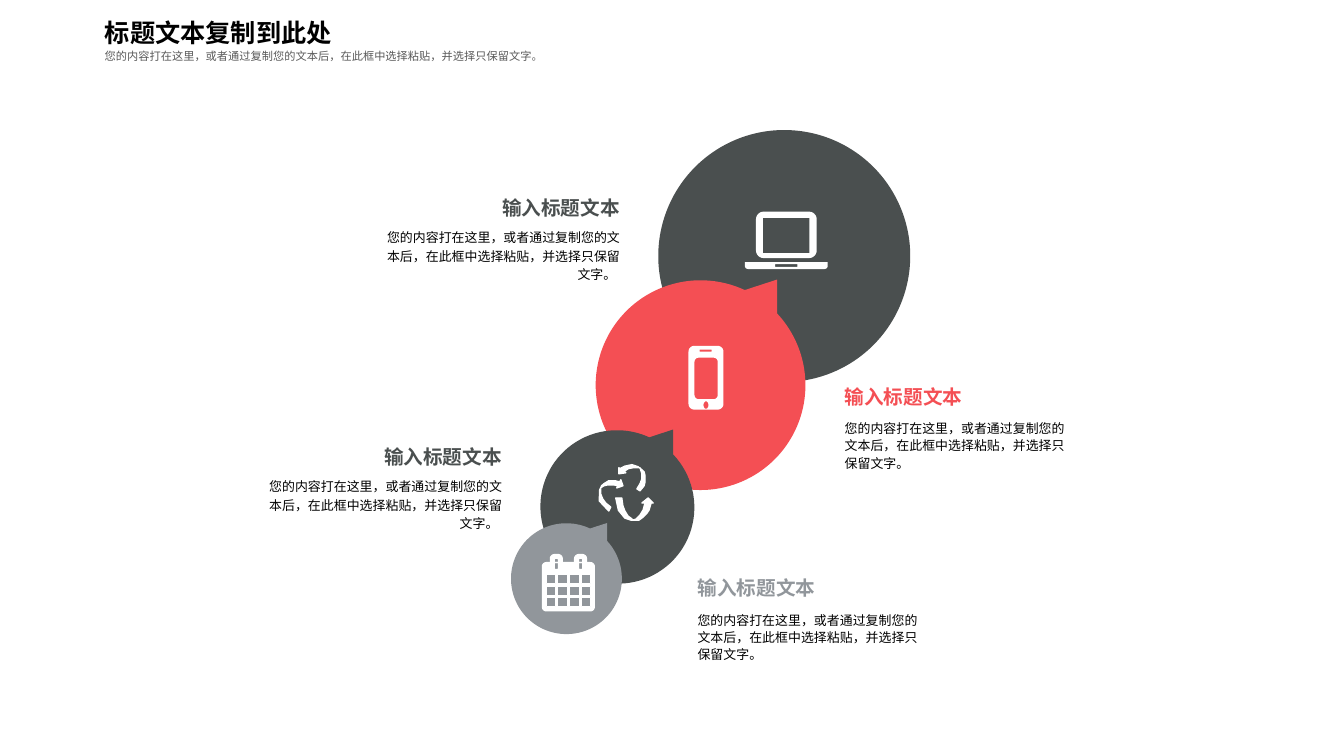
"""Build a slide of four rising speech bubbles with icons and captions."""
from dataclasses import dataclass
from math import cos, radians, sin

from lxml import etree
from pptx import Presentation
from pptx.dml.color import RGBColor
from pptx.enum.shapes import MSO_SHAPE
from pptx.enum.text import MSO_ANCHOR, MSO_AUTO_SIZE, PP_ALIGN
from pptx.oxml.ns import qn
from pptx.shapes.autoshape import Shape
from pptx.shapes.shapetree import GroupShapes
from pptx.slide import Slide
from pptx.util import Pt

ELLIPSE, CALLOUT = MSO_SHAPE.OVAL, MSO_SHAPE.OVAL_CALLOUT
LEFT, RIGHT = PP_ALIGN.LEFT, PP_ALIGN.RIGHT
TOP, MIDDLE, BOTTOM = MSO_ANCHOR.TOP, MSO_ANCHOR.MIDDLE, MSO_ANCHOR.BOTTOM
GROW, FIXED = MSO_AUTO_SIZE.SHAPE_TO_FIT_TEXT, MSO_AUTO_SIZE.NONE

CHARCOAL = RGBColor(0x4A, 0x4F, 0x4F)
CORAL = RGBColor(0xF4, 0x4F, 0x54)
SILVER = RGBColor(0x91, 0x96, 0x9B)
GRAY = RGBColor(0x59, 0x59, 0x59)
BLACK = RGBColor(0, 0, 0)
WHITE = RGBColor(0xFF, 0xFF, 0xFF)

CAPTION_FONT, TITLE_FONT = "Arial", "Noto Sans CJK SC"
HEADING = "输入标题文本"
DETAIL = "您的内容打在这里，或者通过复制您的文本后，在此框中选择粘贴，并选择只保留文字。"

Contour = list[tuple[float, float]]
Box = tuple[float, float, float, float]


@dataclass(frozen=True)
class TextStyle:
    size: float
    color: RGBColor
    font: str = CAPTION_FONT
    bold: bool = False
    align: PP_ALIGN = LEFT
    anchor: MSO_ANCHOR = TOP
    insets: Box = (7.2, 3.6, 7.2, 3.6)
    spacing: float = 1.0
    wrap: bool = True
    fit: MSO_AUTO_SIZE = FIXED


@dataclass(frozen=True)
class CaptionSide:
    align: PP_ALIGN
    detail: str
    detail_width: float
    heading_width: float
    heading_rise: float
    heading_anchor: MSO_ANCHOR
    detail_anchor: MSO_ANCHOR
    left_inset: float
    heading_left_inset: float
    right_inset: float
    spacing: float


@dataclass(frozen=True)
class Step:
    bubble: Box
    kind: MSO_SHAPE
    rotation: float
    color: RGBColor
    icon: list[Contour]
    icon_line: float
    caption_at: tuple[float, float]
    side: CaptionSide


def rounded(left: float, top: float, width: float, height: float,
            radius: float = 0, bottom_radius: float | None = None) -> Contour:
    """Return the outline of a rectangle whose top and bottom corners may be rounded."""
    lower = radius if bottom_radius is None else bottom_radius
    outline: Contour = []
    for start, corner in ((180, radius), (270, radius), (0, lower), (90, lower)):
        rx, ry = min(corner, width / 2), min(corner, height / 2)
        cx = left + rx if start in (90, 180) else left + width - rx
        cy = top + ry if start >= 180 else top + height - ry
        angles = range(start, start + 91, 15) if corner else (start,)
        outline += [(cx + rx * cos(radians(a)), cy + ry * sin(radians(a))) for a in angles]
    return outline


LAPTOP = [
    rounded(540, 151.2, 43.4, 33.2, 5.5),
    rounded(545, 155.6, 33.2, 25.2),
    rounded(532.1, 187.2, 59.1, 5, 0, 2.2),
    rounded(553.7, 188.7, 15.8, 2),
]
PHONE = [
    rounded(491.8, 247, 25, 45.6, 4.2),
    rounded(496.1, 255.5, 16.6, 29.6, 2.9),
    rounded(499.7, 249.8, 8.6, 1.4),
    rounded(502.5, 286.6, 3.6, 5.4, 3),
]
CALENDAR_TABS = (393.1, 410.4)
CALENDAR = [
    rounded(387.4, 401.8, 37.2, 34.6, 2.9),
    *(rounded(x, 396, 8.6, 5.8, 3.4, 0) for x in CALENDAR_TABS),
    *(rounded(x + 2.9, 398.9, 2.9, 7.9, 0.9) for x in CALENDAR_TABS),
    *(rounded(390.2 + 8.35 * column, 410.4 + 8.2 * row, 6.8, 6.7)
      for row in range(3) for column in range(4)),
]
RECYCLE = [
    [(439.9, 355.7), (444.2, 355.7), (445, 361.4), (446.4, 365), (448.6, 368.6),
     (450.7, 370.1), (452.2, 371.5), (454.3, 370.8), (457.2, 367.9), (459.4, 364.3),
     (460.8, 359.3), (458.6, 359.3), (463, 355.7), (466.6, 359.3), (465.1, 359.3),
     (463.7, 364.3), (462.2, 366.5), (459.4, 369.4), (456.5, 371.5), (450.7, 371.5),
     (446.4, 370.1), (441.8, 364.5)],
    [(443.5, 342.7), (445, 347), (440.6, 348.5), (441.4, 347), (438.5, 346.3),
     (434.2, 346.3), (431.3, 347), (429.1, 348.5), (429.1, 352.8), (430.6, 356.4),
     (432.7, 359.3), (436.3, 362.2), (434.9, 365), (428.1, 357.8), (428.4, 349.9),
     (429.8, 347), (431.3, 345.6), (434.9, 343.4), (439.2, 343.4), (442.8, 344.2)],
    [(451.4, 331.9), (455.8, 333.4), (458.6, 335.5), (460.1, 337), (460.8, 339.8),
     (460.8, 344.2), (460.1, 347), (457.2, 350.6), (455, 349.2), (457.2, 345.6),
     (458.6, 342), (458.6, 338.4), (457.2, 334.1), (452.2, 334.1), (448.6, 334.8),
     (445.7, 337), (447.1, 337.7), (442.1, 338.4), (442.1, 334.1), (442.8, 334.8),
     (446.4, 333)],
]

ON_LEFT = CaptionSide(RIGHT, DETAIL + " ", 208.1, 113.8, 26.6, BOTTOM, TOP, 7.2, 0, 28.1, 1.2)
ON_RIGHT = CaptionSide(LEFT, DETAIL, 206.6, 130.3, 25.2, MIDDLE, MIDDLE, 28.1, 28.1, 17.3, 1.1)
STEPS = [
    Step((470.2, 92.9, 180, 180), ELLIPSE, 36.2, CHARCOAL, LAPTOP, 0, (262.8, 158.4), ON_LEFT),
    Step((425.5, 200.2, 149.8, 149.8), CALLOUT, 212.1, CORAL, PHONE, 0, (575.3, 295.9), ON_RIGHT),
    Step((385.9, 307.4, 110.2, 109.4), CALLOUT, 211.8, CHARCOAL, RECYCLE, 1, (178.6, 336.2),
         ON_LEFT),
    Step((365, 373.7, 79.2, 79.2), CALLOUT, 212.3, SILVER, CALENDAR, 0.75, (470.2, 432.7),
         ON_RIGHT),
]


def write(holder: Shape, text: str, style: TextStyle) -> None:
    """Format the holder's text frame and add one run to it."""
    frame = holder.text_frame
    frame.word_wrap, frame.auto_size = style.wrap, style.fit
    frame.vertical_anchor = style.anchor
    (frame.margin_left, frame.margin_top,
     frame.margin_right, frame.margin_bottom) = map(Pt, style.insets)
    paragraph = frame.paragraphs[0]
    paragraph.alignment, paragraph.line_spacing = style.align, style.spacing
    run = paragraph.add_run()
    run.text = text
    run.font.size, run.font.bold, run.font.name = Pt(style.size), style.bold, style.font
    run.font.color.rgb = style.color
    east_asian = etree.SubElement(run.font._element, qn("a:ea"))
    east_asian.set("typeface", style.font)


def paint(shape: Shape, color: RGBColor, line_width: float = 0) -> None:
    """Give the shape a flat fill and an optional line of the same colour."""
    shape.shadow.inherit = False
    shape.fill.solid()
    shape.fill.fore_color.rgb = color
    if line_width:
        shape.line.color.rgb, shape.line.width = color, Pt(line_width)
    else:
        shape.line.fill.background()


def draw_icon(shapes: GroupShapes, contours: list[Contour], line_width: float) -> None:
    """Draw all contours as one white freeform."""
    outlines = [[(Pt(x), Pt(y)) for x, y in contour] for contour in contours]
    builder = shapes.build_freeform(*outlines[0][0])
    for outline in outlines:
        builder.move_to(*outline[0]) if outline is not outlines[0] else None
        builder.add_line_segments(outline[1:], close=True)
    paint(builder.convert_to_shape(), WHITE, line_width)


def draw_step(slide: Slide, step: Step) -> None:
    """Draw one bubble with its icon and caption as a group."""
    shapes, side = slide.shapes.add_group_shape().shapes, step.side
    bubble = shapes.add_shape(step.kind, *map(Pt, step.bubble))
    bubble.rotation = step.rotation
    if step.kind == CALLOUT:
        bubble.adjustments[0], bubble.adjustments[1] = -0.042, 0.621
    paint(bubble, step.color)
    draw_icon(shapes, step.icon, step.icon_line)
    left, top = step.caption_at
    detail = shapes.add_textbox(Pt(left), Pt(top), Pt(side.detail_width), Pt(44))
    write(detail, side.detail, TextStyle(
        9.2, BLACK, align=side.align, anchor=side.detail_anchor, spacing=side.spacing,
        insets=(side.left_inset, 3.6, side.right_inset, 3.6)))
    indent = side.detail_width - side.heading_width if side.align == RIGHT else 0
    heading = shapes.add_textbox(Pt(left + indent), Pt(top - side.heading_rise),
                                 Pt(side.heading_width), Pt(25.2))
    write(heading, HEADING, TextStyle(
        14, step.color, bold=True, align=side.align, anchor=side.heading_anchor, wrap=False,
        insets=(side.heading_left_inset, 0, side.right_inset, 0)))


def main() -> None:
    """Build and save the slide."""
    deck = Presentation()
    deck.slide_width, deck.slide_height = Pt(960), Pt(540)
    slide = deck.slides.add_slide(deck.slide_layouts[5])
    title = slide.shapes.title
    title.left, title.top, title.width, title.height = map(Pt, (67.7, 2.2, 256.3, 35.3))
    write(title, "标题文本复制到此处",
          TextStyle(18, BLACK, TITLE_FONT, True, spacing=1.3, fit=GROW))
    for step in STEPS:
        draw_step(slide, step)
    subtitle = slide.shapes.add_textbox(*map(Pt, (67.7, 26.6, 450.7, 21.6)))
    write(subtitle, DETAIL, TextStyle(8, GRAY, TITLE_FONT, spacing=1.5, fit=GROW))
    deck.save("out.pptx")


if __name__ == "__main__":
    main()
